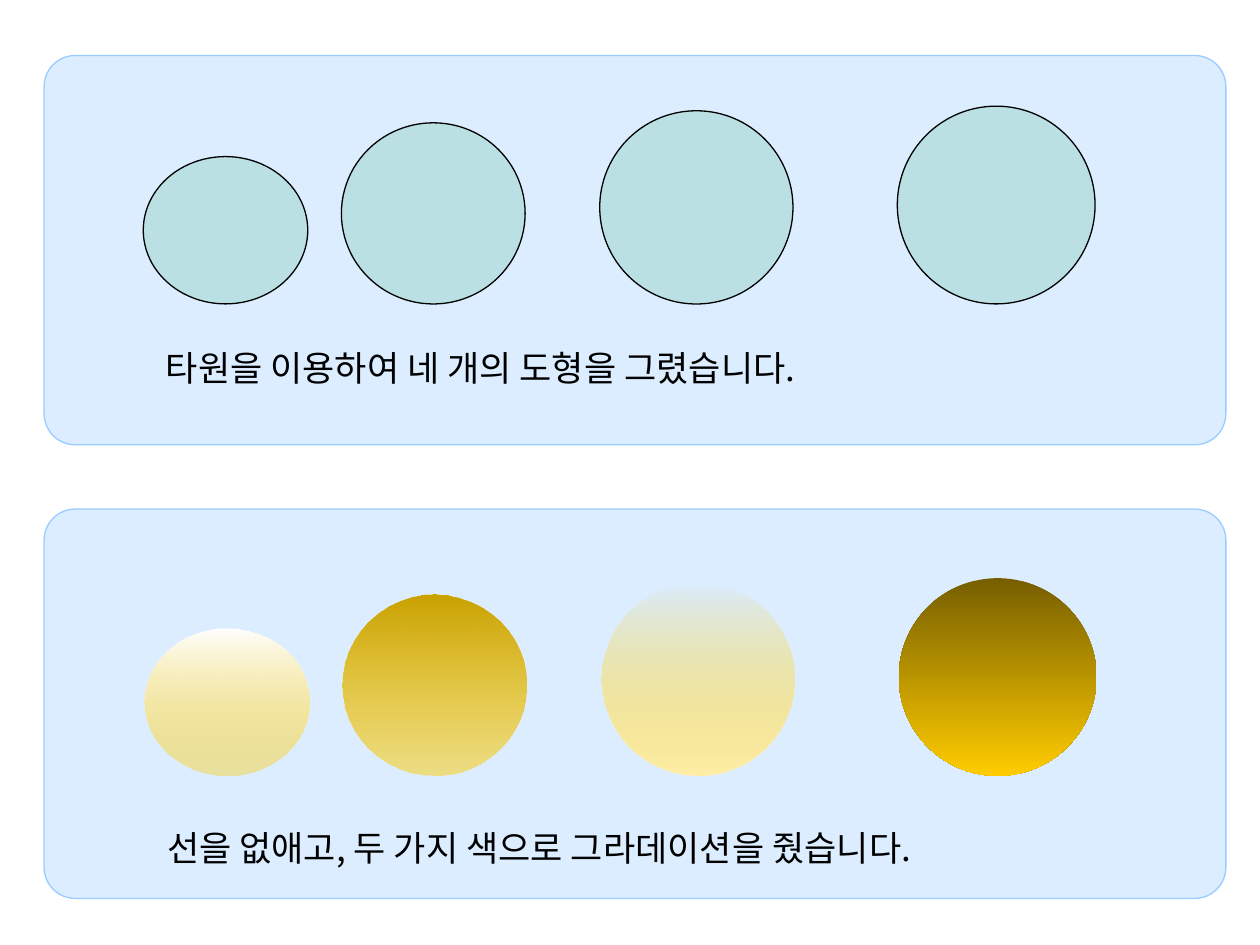
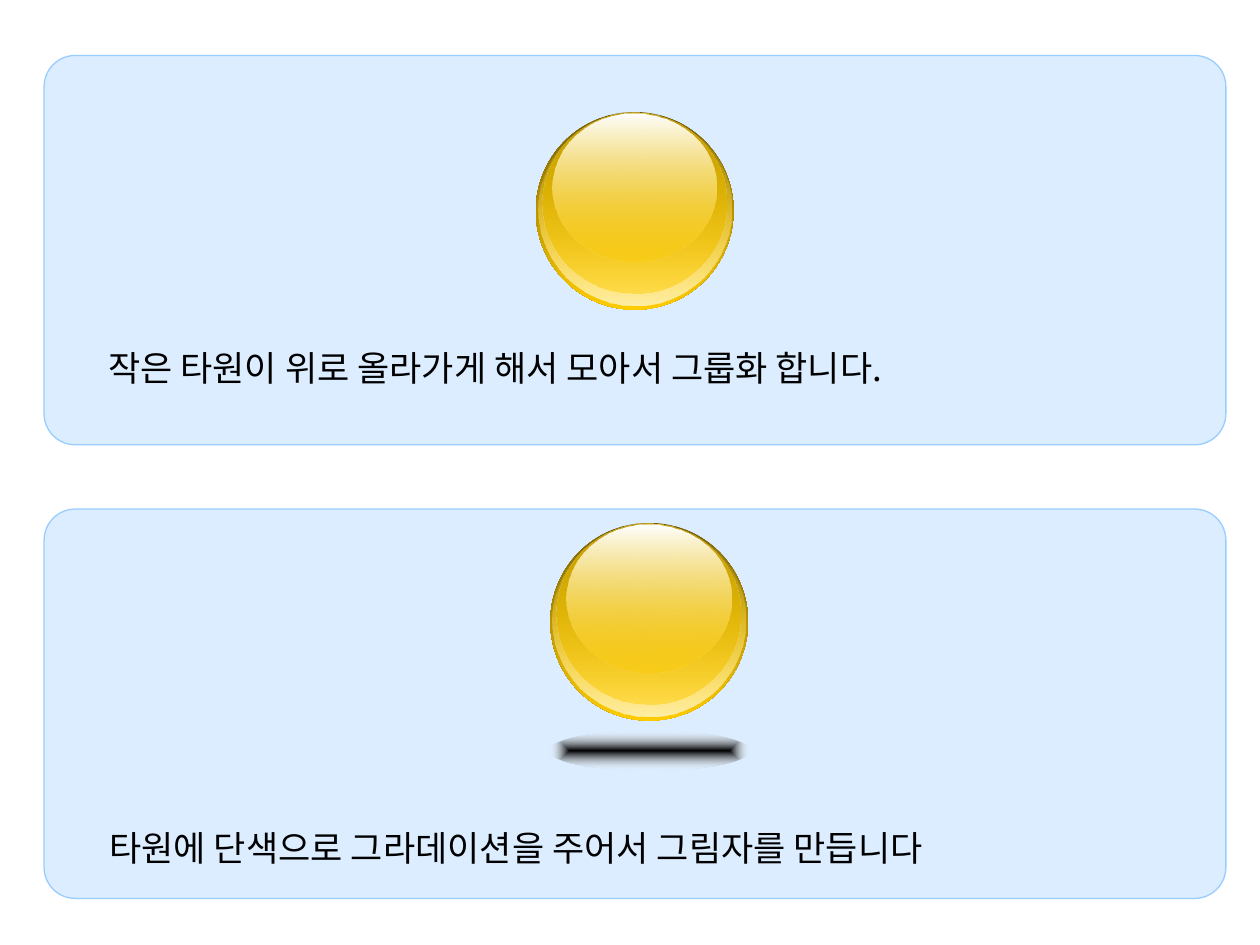
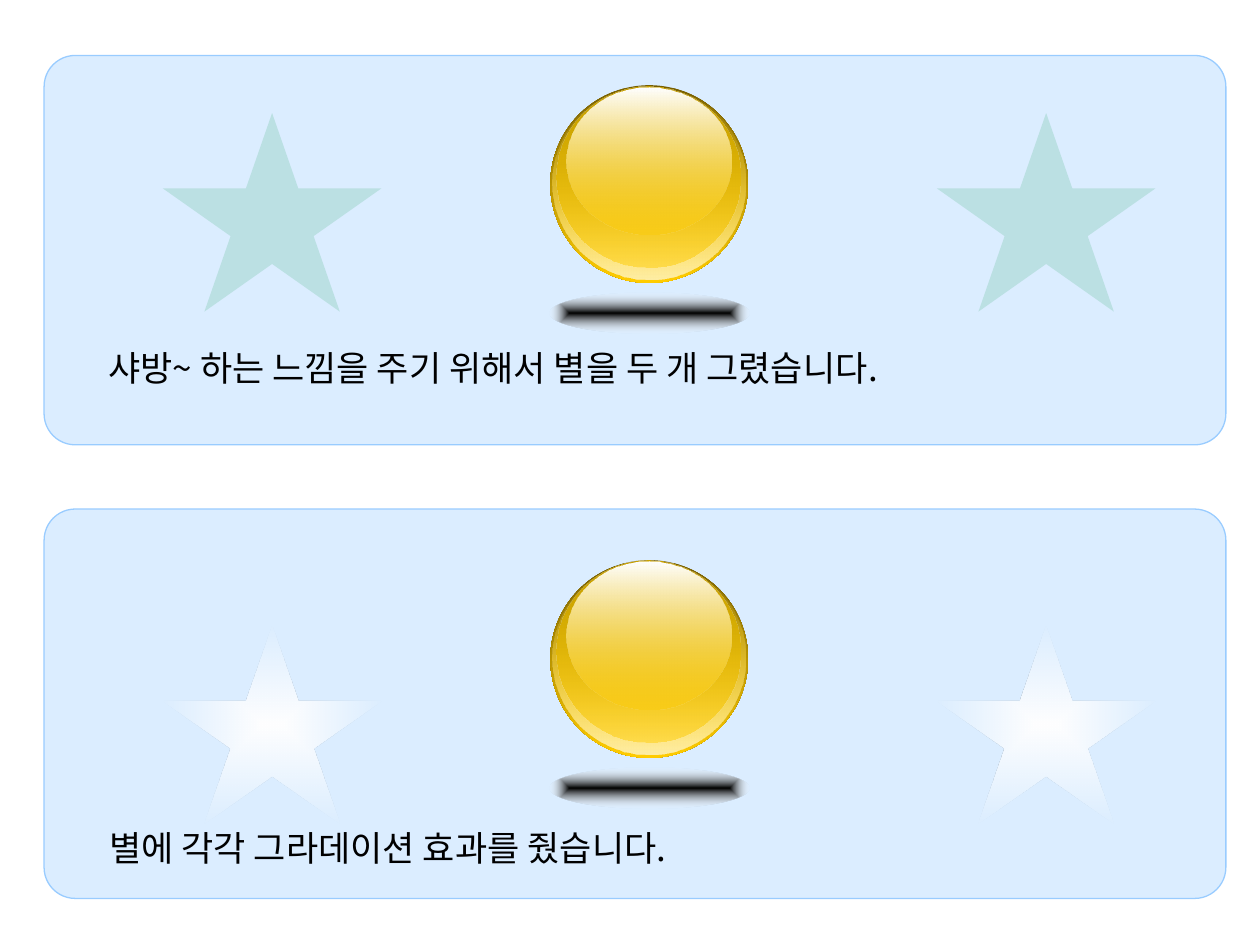
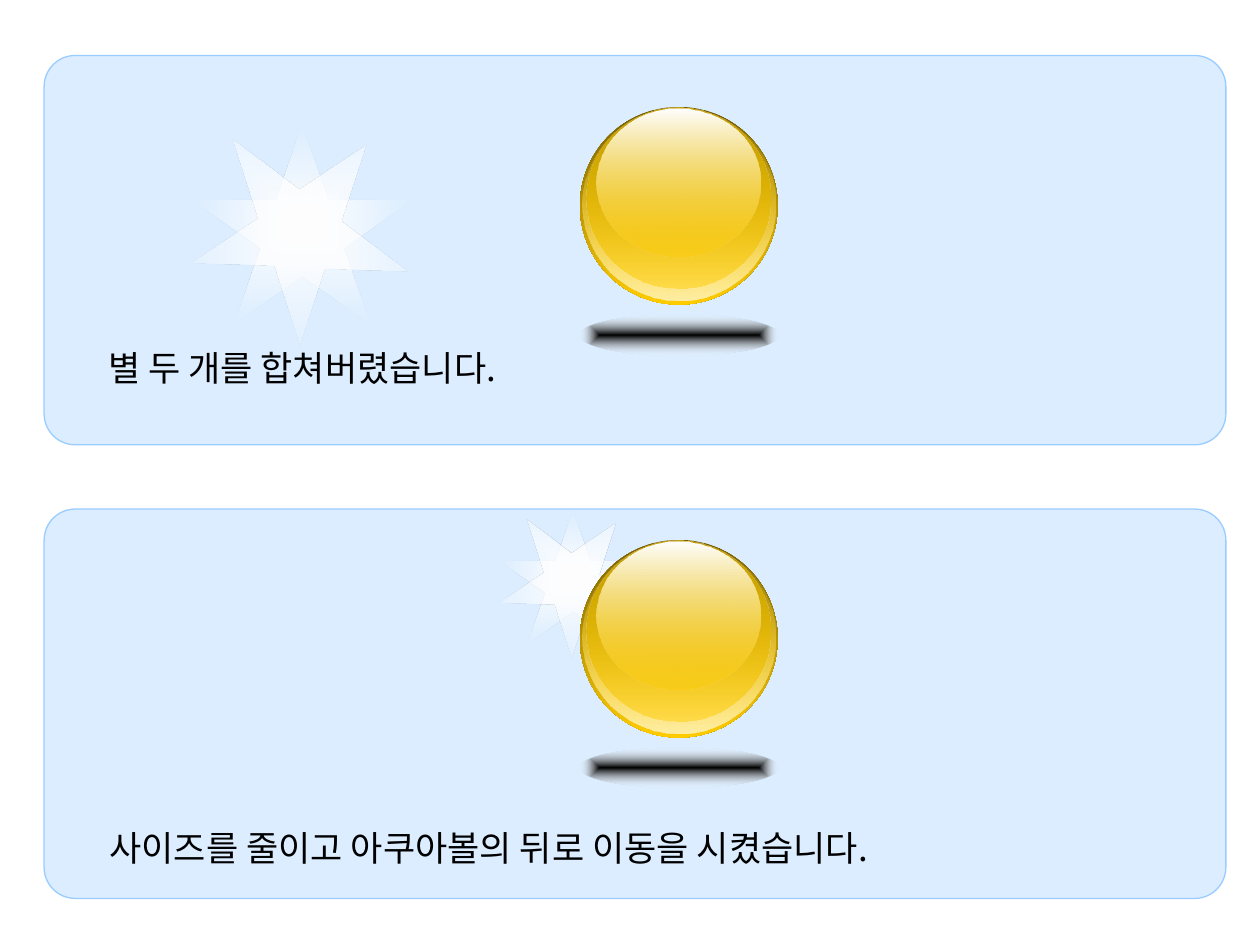
import dataclasses
import typing

import lxml.etree
import pptx
import pptx.dml.color
import pptx.enum.shapes
import pptx.enum.text
import pptx.oxml.ns
import pptx.shapes.autoshape
import pptx.shapes.shapetree
import pptx.slide
import pptx.util

Pt = pptx.util.Pt
qn = pptx.oxml.ns.qn
Shape = pptx.shapes.autoshape.Shape
Shapes = typing.Union[
    pptx.shapes.shapetree.SlideShapes, pptx.shapes.shapetree.GroupShapes
]

COLORS = {
    "panel": "99CCFF",
    "plain": "BBE0E3",
    "ink": "000000",
    "white": "FFFFFF",
    "gold": "FFCC00",
    "dark gold": "765E00",
    "mid gold": "CAA200",
    "pale gold": "FFEEA5",
}
FONT = "Noto Sans CJK KR"
PANEL_LEFT, PANEL_WIDTH, PANEL_HEIGHT = 25.2, 675.3, 222.5
PANEL_TOPS = (31.7, 290.9)
CAPTION_TOPS = (194.4, 468.7)
CAPTION_LEFTS = (54.7, 55.4)
CAPTION_WIDTHS = (597, 616)
STAR_WIDTH, STAR_HEIGHT = 124.8, 113.5
STAR_LEFTS = (93.1, 535.4)
STAR_POINTS = (
    (0, 0.38), (0.38, 0.38), (0.5, 0), (0.62, 0.38), (1, 0.38),
    (0.69, 0.62), (0.81, 1), (0.5, 0.76), (0.19, 1), (0.31, 0.62),
)


@dataclasses.dataclass(frozen=True)
class Stop:
    color: str
    opacity: int = 100


@dataclasses.dataclass(frozen=True)
class Gradient:
    start: Stop
    end: Stop
    from_center: bool = False


@dataclasses.dataclass(frozen=True)
class Layer:
    dx: float
    dy: float
    width: float
    height: float
    gradient: Gradient
    row_left: float = 0


GLOW = Gradient(Stop("white"), Stop("white", 0), from_center=True)
BALL_LAYERS = (
    Layer(0, 0, 113, 113, Gradient(Stop("dark gold"), Stop("gold")), 512.8),
    Layer(1.3, 0.4, 110.4, 110.4, Gradient(Stop("gold", 0), Stop("pale gold")), 342.7),
    Layer(3.8, 0.5, 105, 103.5, Gradient(Stop("mid gold"), Stop("gold", 48)), 195.1),
    Layer(9.4, 1.1, 94, 84.2, Gradient(Stop("white"), Stop("gold", 37)), 81.9),
)
SHADOW = Layer(
    -0.3, 118.8, 113.8, 23, Gradient(Stop("ink"), Stop("white", 0), from_center=True)
)


def rgb(name: str) -> pptx.dml.color.RGBColor:
    return pptx.dml.color.RGBColor.from_string(COLORS[name])


def fill_solid(shape: Shape, color: str, opacity: int = 100) -> None:
    shape.fill.solid()
    shape.fill.fore_color.rgb = rgb(color)
    if opacity < 100:
        tint = shape.element.spPr.find(qn("a:solidFill")).find(qn("a:srgbClr"))
        lxml.etree.SubElement(tint, qn("a:alpha"), val=str(opacity * 1000))


def fill_gradient(shape: Shape, gradient: Gradient) -> None:
    shape.fill.background()
    properties = shape.element.spPr
    fill = lxml.etree.Element(qn("a:gradFill"), rotWithShape="1")
    stops = lxml.etree.SubElement(fill, qn("a:gsLst"))
    for position, stop in ((0, gradient.start), (100000, gradient.end)):
        mark = lxml.etree.SubElement(stops, qn("a:gs"), pos=str(position))
        tint = lxml.etree.SubElement(mark, qn("a:srgbClr"), val=COLORS[stop.color])
        if stop.opacity < 100:
            lxml.etree.SubElement(tint, qn("a:alpha"), val=str(stop.opacity * 1000))
    if gradient.from_center:
        spread = lxml.etree.SubElement(fill, qn("a:path"), path="rect")
        edges = dict.fromkeys("ltrb", "50000")
        lxml.etree.SubElement(spread, qn("a:fillToRect"), edges)
    else:
        lxml.etree.SubElement(fill, qn("a:lin"), ang="5400000", scaled="1")
    properties.replace(properties.find(qn("a:noFill")), fill)


def outline(shape: Shape, color: typing.Optional[str] = None) -> None:
    shape.shadow.inherit = False
    if color is None:
        shape.line.fill.background()
    else:
        shape.line.color.rgb = rgb(color)
        shape.line.width = Pt(0.75)


def add_ellipse(
    shapes: Shapes, left: float, top: float, width: float, height: float
) -> Shape:
    return shapes.add_shape(
        pptx.enum.shapes.MSO_SHAPE.OVAL, Pt(left), Pt(top), Pt(width), Pt(height)
    )


def add_panel(shapes: Shapes, top: float) -> None:
    panel = shapes.add_shape(
        pptx.enum.shapes.MSO_SHAPE.ROUNDED_RECTANGLE,
        Pt(PANEL_LEFT), Pt(top), Pt(PANEL_WIDTH), Pt(PANEL_HEIGHT),
    )
    panel.adjustments[0] = 0.08
    fill_solid(panel, "panel", 35)
    outline(panel, "panel")


def add_caption(
    shapes: Shapes, text: str, left: float, top: float, width: float
) -> None:
    box = shapes.add_textbox(Pt(left), Pt(top), Pt(width), Pt(31.7))
    frame = box.text_frame
    frame.word_wrap = True
    frame.auto_size = pptx.enum.text.MSO_AUTO_SIZE.SHAPE_TO_FIT_TEXT
    para = frame.paragraphs[0]
    para.text = text
    para.space_before = Pt(12.5)
    para.font.size = Pt(20)
    para.font.name = FONT
    para.font.color.rgb = rgb("ink")
    for defaults in box.element.iter(qn("a:defRPr")):
        lxml.etree.SubElement(defaults, qn("a:ea"), typeface=FONT)


def add_ball(shapes: Shapes, left: float, top: float, shadow: bool = True) -> None:
    group = shapes.add_group_shape()
    for layer in BALL_LAYERS + ((SHADOW,) if shadow else ()):
        ellipse = add_ellipse(
            group.shapes, left + layer.dx, top + layer.dy, layer.width, layer.height
        )
        fill_gradient(ellipse, layer.gradient)
        outline(ellipse)


def add_ellipse_row(shapes: Shapes, baseline: float, shift: float, glossy: bool) -> None:
    group = shapes.add_group_shape()
    for layer in reversed(BALL_LAYERS):
        ellipse = add_ellipse(
            group.shapes, layer.row_left + shift, baseline - layer.height,
            layer.width, layer.height,
        )
        if glossy:
            fill_gradient(ellipse, layer.gradient)
            outline(ellipse)
        else:
            fill_solid(ellipse, "plain")
            outline(ellipse, "ink")


def add_star(
    shapes: Shapes, left: float, top: float, scale: float = 1, glowing: bool = True
) -> Shape:
    corners = [
        (Pt(left + x * STAR_WIDTH * scale), Pt(top + y * STAR_HEIGHT * scale))
        for x, y in STAR_POINTS
    ]
    builder = shapes.build_freeform(*corners[0])
    builder.add_line_segments(corners[1:], close=True)
    star = builder.convert_to_shape()
    if glowing:
        fill_gradient(star, GLOW)
    else:
        fill_solid(star, "plain")
    outline(star)
    return star


def add_sparkle(shapes: Shapes, left: float, top: float, scale: float = 1) -> None:
    group = shapes.add_group_shape()
    add_star(group.shapes, left, top, scale)
    turned = add_star(group.shapes, left + 2 * scale, top, scale)
    turned.rotation = 37.1


def add_page(
    deck: typing.Any, captions: typing.Tuple[str, str], indent: float = 0
) -> Shapes:
    page: pptx.slide.Slide = deck.slides.add_slide(deck.slide_layouts[6])
    for top in PANEL_TOPS:
        add_panel(page.shapes, top)
    for text, left, top, width in zip(
        captions, CAPTION_LEFTS, CAPTION_TOPS, CAPTION_WIDTHS
    ):
        add_caption(page.shapes, text, left + indent, top, width - 2.9 * indent)
    return page.shapes


def main() -> None:
    deck = pptx.Presentation()
    deck.slide_width, deck.slide_height = Pt(720), Pt(540)

    shapes = add_page(
        deck,
        (
            "타원을 이용하여 네 개의 도형을 그렸습니다.",
            "선을 없애고, 두 가지 색으로 그라데이션을 줬습니다.",
        ),
        indent=33,
    )
    add_ellipse_row(shapes, 173.7, 0, glossy=False)
    add_ellipse_row(shapes, 443.4, 0.8, glossy=True)

    shapes = add_page(
        deck,
        (
            "작은 타원이 위로 올라가게 해서 모아서 그룹화 합니다.",
            "타원에 단색으로 그라데이션을 주어서 그림자를 만듭니다",
        ),
    )
    add_ball(shapes, 306.2, 64, shadow=False)
    add_ball(shapes, 314.5, 298.8)

    shapes = add_page(
        deck,
        (
            "샤방~ 하는 느낌을 주기 위해서 별을 두 개 그렸습니다.",
            "별에 각각 그라데이션 효과를 줬습니다.",
        ),
    )
    for ball_top, star_top, glowing in ((48.7, 64.6, False), (320.1, 357.3, True)):
        add_ball(shapes, 314.5, ball_top)
        for left in STAR_LEFTS:
            add_star(shapes, left, star_top, glowing=glowing)

    shapes = add_page(
        deck,
        (
            "별 두 개를 합쳐버렸습니다.",
            "사이즈를 줄이고 아쿠아볼의 뒤로 이동을 시켰습니다.",
        ),
    )
    add_sparkle(shapes, 110.2, 71.3)
    add_ball(shapes, 331.4, 61.1)
    add_sparkle(shapes, 285.8, 291.6, scale=0.67)
    add_ball(shapes, 331.4, 308.5)

    deck.save("out.pptx")


if __name__ == "__main__":
    main()
